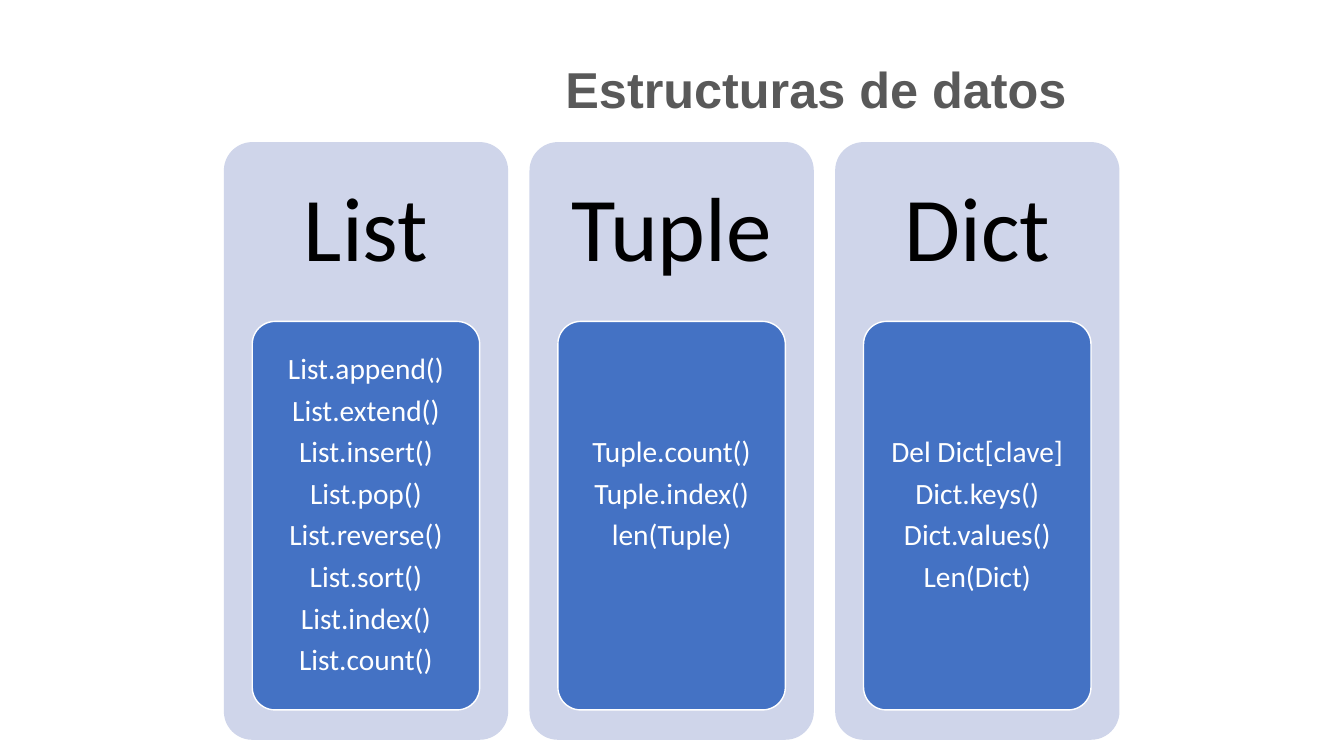
from pptx import Presentation
from pptx.dml.color import RGBColor
from pptx.enum.shapes import MSO_SHAPE
from pptx.enum.text import MSO_ANCHOR, PP_ALIGN
from pptx.util import Inches, Pt

ROUND = MSO_SHAPE.ROUNDED_RECTANGLE
MIDDLE = MSO_ANCHOR.MIDDLE
CENTER = PP_ALIGN.CENTER


def paint(target, color):
    target.solid()
    target.fore_color.rgb = RGBColor.from_string(color)


def write(shape, text, size, color, font="Calibri", bold=False, after=0, inset=0.1, base=0.1):
    frame = shape.text_frame
    frame.word_wrap = True
    frame.vertical_anchor = MIDDLE
    frame.margin_left = frame.margin_right = frame.margin_top = Inches(inset)
    frame.margin_bottom = Inches(base)
    frame.text = text
    for line in frame.paragraphs:
        line.alignment = CENTER
        line.line_spacing = 0.9
        line.space_before = Pt(0)
        line.space_after = Pt(after)
        line.font.name = font
        line.font.size = Pt(size)
        line.font.bold = bold
        paint(line.font.fill, color)


deck = Presentation()
deck.slide_width = Inches(13.33)
deck.slide_height = Inches(7.5)
slide = deck.slides.add_slide(deck.slide_layouts[5])

title = slide.shapes.title
title.left, title.top = Inches(3.78), Inches(0.45)
title.width, title.height = Inches(8.63), Inches(0.92)
write(title, "Estructuras de datos", 36, "595959", font="Arial", bold=True)

left, top, wide, high = 2.22, 1.41, 2.82, 5.93
step = 1.075 * wide
head = 0.3 * high

types = [
    ("List", ["List.append()", "List.extend()", "List.insert()", "List.pop()",
              "List.reverse()", "List.sort()", "List.index()", "List.count()"], 0.04),
    ("Tuple", ["Tuple.count()", "Tuple.index()", "len(Tuple)"], 0.46),
    ("Dict", ["Del Dict[clave]", "Dict.keys()", "Dict.values()", "Len(Dict)"], 0.04),
]

for col, (name, calls, base) in enumerate(types):
    x = left + col * step
    panel = slide.shapes.add_shape(
        ROUND, Inches(x), Inches(top), Inches(wide), Inches(high))
    card = slide.shapes.add_shape(
        ROUND, Inches(x + 0.1 * wide), Inches(top + head),
        Inches(0.8 * wide), Inches(0.65 * high))
    for box, color in ((panel, "CFD5EA"), (card, "4472C4")):
        box.shadow.inherit = False
        box.adjustments[0] = 0.1
        paint(box.fill, color)
    panel.line.fill.background()
    paint(card.line.fill, "FFFFFF")
    card.line.width = Pt(1)
    write(panel, name, 65, "000000", base=high - head + 0.1)
    write(card, "\n".join(calls), 21, "FFFFFF", after=7, inset=0.04, base=base)

deck.save("out.pptx")
